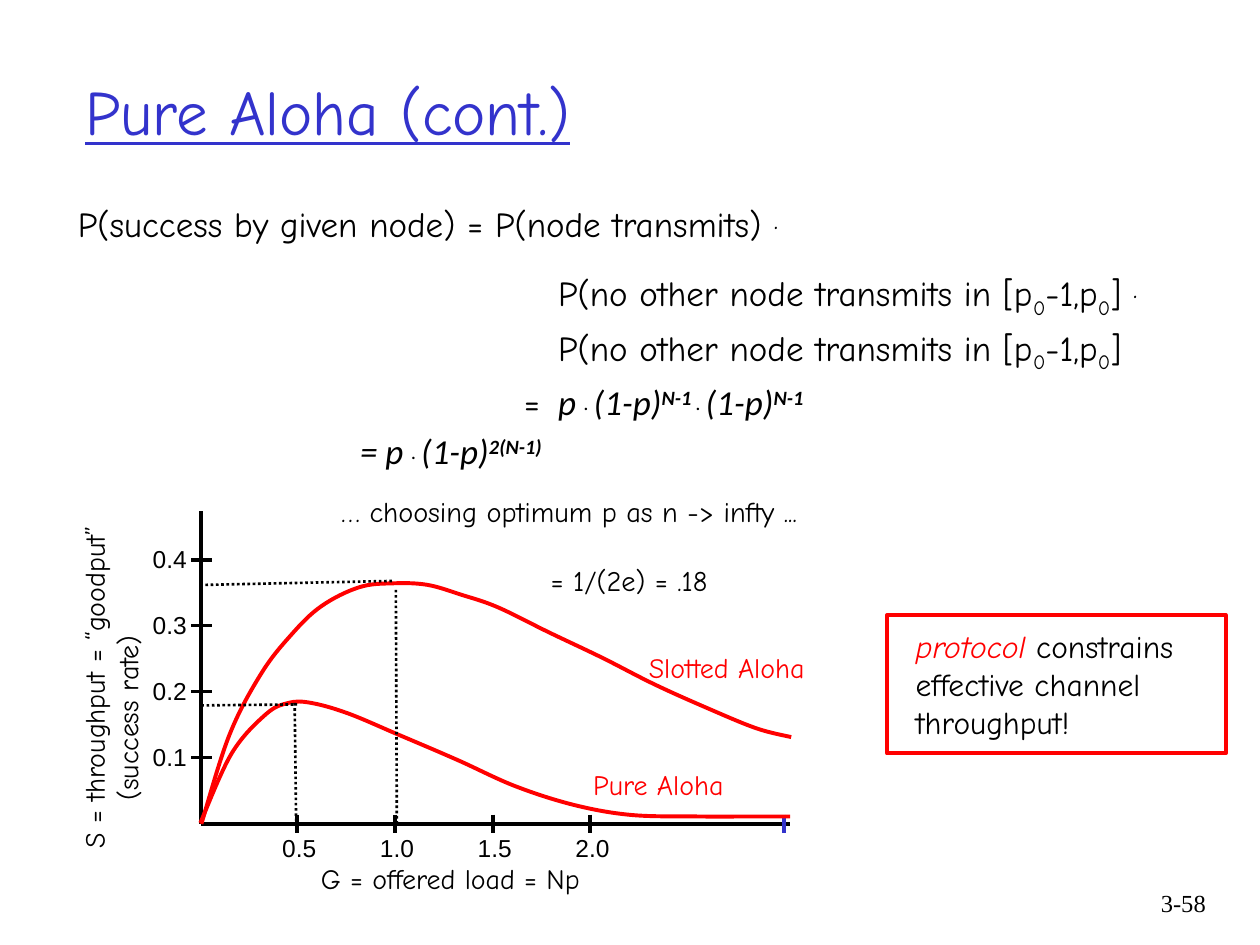
from dataclasses import dataclass, replace
from itertools import pairwise

from lxml.etree import SubElement
from pptx import Presentation
from pptx.dml.color import RGBColor
from pptx.enum.dml import MSO_LINE
from pptx.enum.shapes import MSO_CONNECTOR, MSO_SHAPE
from pptx.enum.text import MSO_ANCHOR, MSO_AUTO_SIZE, PP_ALIGN
from pptx.oxml.ns import qn
from pptx.util import Cm, Pt


@dataclass(frozen=True)
class Style:
    """Look of one run of text."""
    size: float
    font: str = "Comic Neue"
    color: RGBColor = RGBColor(0, 0, 0)
    bold: bool = False
    italic: bool = False
    underline: bool = False
    baseline: int = 0


@dataclass(frozen=True)
class Theme:
    """Colours, line widths and text styles of the slide."""
    black = RGBColor(0, 0, 0)
    white = RGBColor(255, 255, 255)
    blue = RGBColor(0x33, 0x33, 0xCC)
    red = RGBColor(255, 0, 0)
    solid = 2.25
    dotted = 1.5
    title = Style(36, color=blue, underline=True)
    body = Style(20)
    subscript = Style(20, baseline=-25)
    dot = Style(28, baseline=16)
    math = Style(20, "Calibri", italic=True)
    math_dot = replace(math, baseline=16)
    exponent = replace(math, bold=True, baseline=30)
    axis = Style(16)
    curve = Style(16, color=red)
    tick = Style(14, "Arial")
    note = Style(18)
    keyword = Style(18, color=red, italic=True)
    page = Style(14, "Times New Roman")


THEME = Theme()
ORIGIN_X, AXIS_Y = 4.06, 16.61
LOAD_TICKS = [(f"{0.5 * n:.1f}", 5.99 + 1.97 * (n - 1)) for n in range(1, 5)]
RATE_TICKS = [(f"{0.1 * n:.1f}", 15.27 - 1.33 * (n - 1)) for n in range(1, 5)]
PURE = [(4.04, 16.59), (4.67, 15.19), (5.36, 14.4), (5.82, 14.17), (6.27, 14.17),
        (7.01, 14.38), (8.03, 14.81), (9.22, 15.32), (10.39, 15.85), (11.58, 16.23),
        (12.73, 16.43), (14.07, 16.46), (15.21, 16.46), (15.93, 16.46)]
SLOTTED = [(4.06, 16.61), (4.62, 14.83), (5.26, 13.59), (5.87, 12.8), (6.48, 12.22),
           (7.24, 11.84), (7.92, 11.76), (8.61, 11.79), (9.3, 11.99), (10.03, 12.24),
           (11.07, 12.75), (12.14, 13.26), (13.18, 13.79), (14.2, 14.25),
           (15.24, 14.68), (15.95, 14.86)]


def add_text(slide, left, top, width, height, paragraphs, wrap=True, grow=False):
    """Add a text box whose paragraphs are lists of (text, style) runs."""
    box = slide.shapes.add_textbox(Cm(left), Cm(top), Cm(width), Cm(height))
    frame = box.text_frame
    frame.word_wrap = wrap
    frame.auto_size = MSO_AUTO_SIZE.SHAPE_TO_FIT_TEXT if grow else MSO_AUTO_SIZE.NONE
    for index, pieces in enumerate(paragraphs):
        paragraph = frame.add_paragraph() if index else frame.paragraphs[0]
        for words, style in pieces:
            run = paragraph.add_run()
            run.text = words
            format_run(run, style)
    return box


def format_run(run, style):
    """Apply a style to a run."""
    font = run.font
    font.name, font.size = style.font, Pt(style.size)
    font.bold, font.italic, font.underline = style.bold, style.italic, style.underline
    font.color.rgb = style.color
    if style.baseline:
        run._r.get_or_add_rPr().set("baseline", str(style.baseline * 1000))


def indent(paragraph, margin, first=0):
    """Set the left margin and first-line indent of a paragraph."""
    properties = paragraph._p.get_or_add_pPr()
    properties.set("marL", str(Cm(margin)))
    properties.set("indent", str(Cm(first)))


def add_label(slide, left, top, width, height, words, style):
    """Add a one-line label that does not wrap."""
    add_text(slide, left, top, width, height, [[(words, style)]], wrap=False, grow=True)


def add_line(slide, start, end, color=THEME.black, width=THEME.solid, dash=None):
    """Add a straight line without shadow."""
    line = slide.shapes.add_connector(
        MSO_CONNECTOR.STRAIGHT, *(Cm(value) for value in (*start, *end)))
    line.line.color.rgb = color
    line.line.width = Pt(width)
    if dash:
        line.line.dash_style = dash
    SubElement(line._element.spPr, qn("a:effectLst"))


def add_curve(slide, points):
    """Add a smooth open curve through the points."""
    spots = [(Cm(x), Cm(y)) for x, y in points]
    builder = slide.shapes.build_freeform(*spots[0])
    builder.add_line_segments(spots[1:], close=False)
    curve = builder.convert_to_shape()
    curve.shadow.inherit = False
    curve.fill.background()
    curve.line.color.rgb = THEME.red
    curve.line.width = Pt(THEME.solid)
    local = [(x - curve.left, y - curve.top) for x, y in spots]
    padded = [local[0], *local, local[-1]]
    slopes = [((c[0] - a[0]) / 6, (c[1] - a[1]) / 6) for a, c in zip(padded, padded[2:])]
    segments = curve._element.xpath(".//a:lnTo")
    for segment, (start, end), (leave, arrive) in zip(segments, pairwise(local), pairwise(slopes)):
        segment.tag = qn("a:cubicBezTo")
        segment.remove(segment[0])
        controls = ((start[0] + leave[0], start[1] + leave[1]),
                    (end[0] - arrive[0], end[1] - arrive[1]), end)
        for x, y in controls:
            SubElement(segment, qn("a:pt"), x=str(round(x)), y=str(round(y)))


def add_derivation(slide):
    """Add the derivation of the success probability."""
    body, sub, math, dot, power = (
        THEME.body, THEME.subscript, THEME.math, THEME.math_dot, THEME.exponent)
    no_other = [("P(no other node transmits in [p", body), ("0", sub),
                ("-1,p", body), ("0", sub)]
    steps = [
        (0, 0, [("P(success by given node) = P(node transmits) ", body), (".", THEME.dot)]),
        (9.68, 0, [*no_other, ("] ", body), (".", THEME.dot)]),
        (9.68, 0, [*no_other, ("]", body)]),
        (9.68, -0.69, [("=\t", body), ("p ", math), (". ", dot), ("(1-p)", math),
                       ("N-1", power), (" . ", dot), ("(1-p)", math), ("N-1", power)]),
        (5.69, 0, [("= p ", math), (". ", dot), ("(1-p)", math), ("2(N-1)", power)]),
        (5.31, 0, [("… choosing optimum p as n -> infty ...", THEME.dot)]),
        (9.53, 0, [("= 1/(2e) = .18", THEME.dot)]),
    ]
    box = add_text(slide, 1.32, 3.68, 22.96, 12.9, [pieces for _, _, pieces in steps])
    for paragraph, (margin, first, pieces) in zip(box.text_frame.paragraphs, steps):
        indent(paragraph, margin, first)
        paragraph.space_before = Pt(0.2 * max(style.size for _, style in pieces))


def add_axes(slide):
    """Add both axes with ticks, tick labels and titles."""
    title = add_text(slide, -1.9, 12.4, 8.28, 1.63,
                     [[("S = throughput = “goodput”", THEME.axis)],
                      [("(success rate)", THEME.axis)]], grow=True)
    title.rotation = 270
    indent(title.text_frame.paragraphs[1], 0.97)
    add_line(slide, (ORIGIN_X, AXIS_Y), (15.93, AXIS_Y))
    add_line(slide, (ORIGIN_X, AXIS_Y), (ORIGIN_X, 10.31))
    for words, x in LOAD_TICKS:
        add_line(slide, (x, 16.42), (x, 16.8))
        add_label(slide, x - 0.55, 16.67, 1.19, 0.84, words, THEME.tick)
    add_line(slide, (15.8, 16.42), (15.8, 16.8), THEME.blue)
    for words, y in RATE_TICKS:
        add_line(slide, (3.86, y), (4.27, y))
        add_label(slide, 2.83, y - 0.43, 1.19, 0.84, words, THEME.tick)
    add_label(slide, 6.22, 17.25, 6.22, 0.94, "G = offered load = Np", THEME.axis)


def add_curves(slide):
    """Add the two throughput curves, their names and peak guides."""
    for points in (PURE, SLOTTED):
        add_curve(slide, points)
    guides = [((4.06, 14.22), (5.99, 14.2)), ((5.94, 14.17), (5.97, AXIS_Y)),
              ((7.98, 11.89), (8, AXIS_Y)), ((4.14, 11.79), (7.95, 11.71))]
    for start, end in guides:
        add_line(slide, start, end, width=THEME.dotted, dash=MSO_LINE.ROUND_DOT)
    add_label(slide, 11.71, 15.34, 3.33, 0.94, "Pure Aloha", THEME.curve)
    add_label(slide, 12.83, 12.98, 4.17, 0.94, "Slotted Aloha", THEME.curve)


def add_conclusion(slide):
    """Add the framed conclusion."""
    frame = slide.shapes.add_shape(
        MSO_SHAPE.RECTANGLE, Cm(17.88), Cm(12.4), Cm(6.83), Cm(2.79))
    frame.shadow.inherit = False
    frame.fill.solid()
    frame.fill.fore_color.rgb = THEME.white
    frame.line.color.rgb = THEME.red
    frame.line.width = Pt(THEME.solid)
    add_text(slide, 18.21, 12.52, 6.2, 2.54,
             [[("protocol", THEME.keyword), (" constrains", THEME.note)],
              [("effective channel", THEME.note)], [("throughput!", THEME.note)]],
             wrap=False, grow=True)


def main():
    """Build and save the slide."""
    deck = Presentation()
    deck.slide_width, deck.slide_height = Cm(25.4), Cm(19.05)
    slide = deck.slides.add_slide(deck.slide_layouts[6])
    title = add_text(slide, 1.47, 0.64, 21.59, 3.18, [[("Pure Aloha (cont.)", THEME.title)]])
    title.text_frame.vertical_anchor = MSO_ANCHOR.MIDDLE
    add_derivation(slide)
    add_axes(slide)
    add_curves(slide)
    add_conclusion(slide)
    page = add_text(slide, 22.68, 17.78, 1.88, 1.27, [[("3-58", THEME.page)]])
    page.text_frame.paragraphs[0].alignment = PP_ALIGN.RIGHT
    deck.save("out.pptx")


if __name__ == "__main__":
    main()
